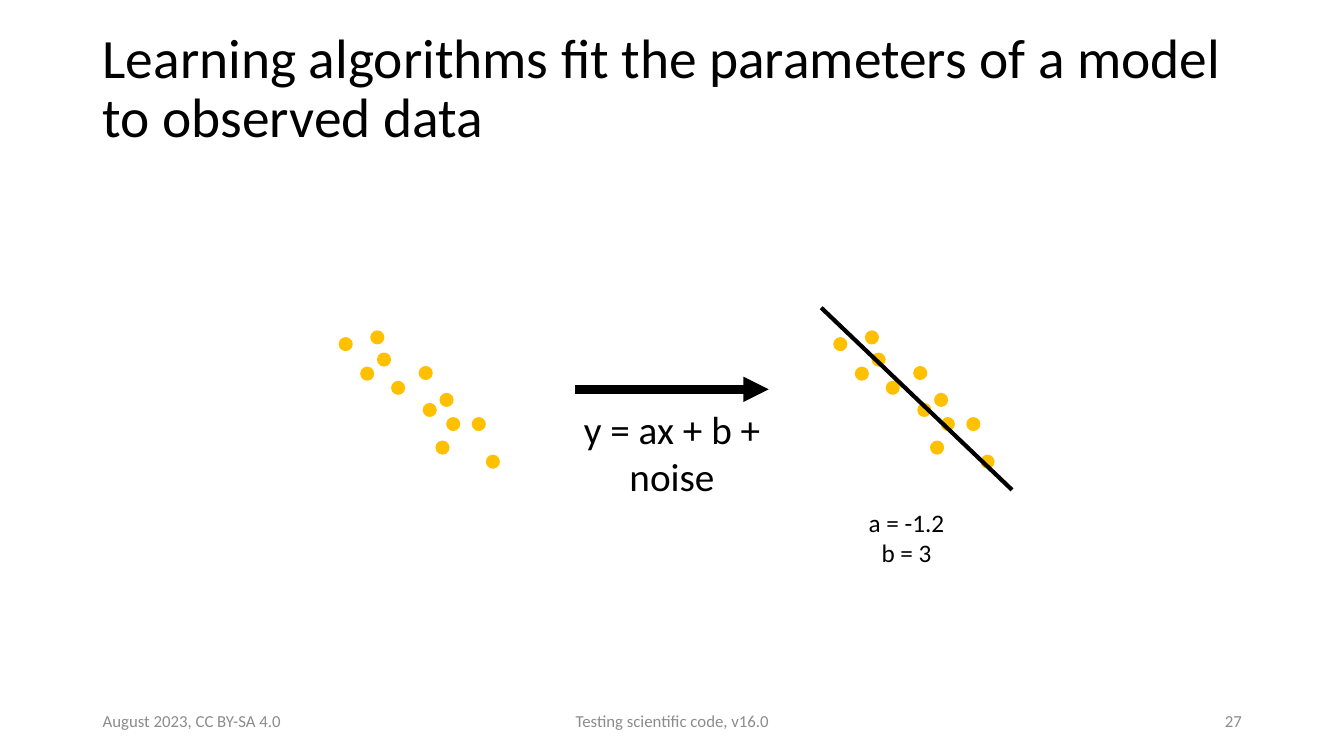
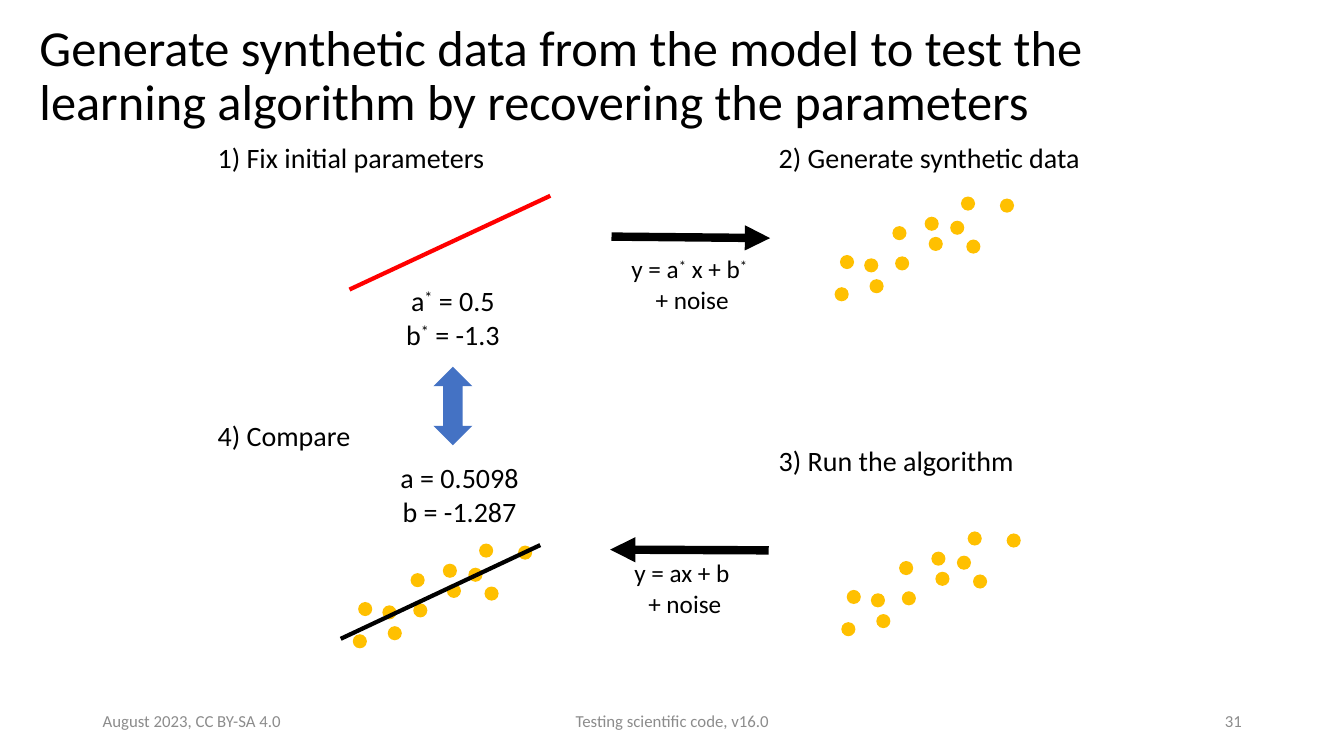
from lxml import etree
from pptx import Presentation
from pptx.dml.color import RGBColor
from pptx.enum.shapes import MSO_CONNECTOR, MSO_SHAPE
from pptx.enum.text import MSO_ANCHOR, PP_ALIGN
from pptx.oxml.ns import qn
from pptx.util import Inches, Pt

LEFT, CENTER, RIGHT = PP_ALIGN.LEFT, PP_ALIGN.CENTER, PP_ALIGN.RIGHT
TOP, MIDDLE = MSO_ANCHOR.TOP, MSO_ANCHOR.MIDDLE
STRAIGHT = MSO_CONNECTOR.STRAIGHT
DOT, DOUBLE_ARROW = MSO_SHAPE.OVAL, MSO_SHAPE.UP_DOWN_ARROW

WIDTH, HEIGHT = Inches(13.33), Inches(7.5)
FONT = "Calibri"
BLACK, GRAY, GOLD, RED, BLUE = "000000", "8C8C8C", "FFC000", "FF0000", "4472C4"
DOT_SIZE = 1.05

FALLING = [(0, 0.5), (2.35, 0), (2.85, 1.65), (1.6, 2.7), (3.9, 3.75), (5.95, 2.65),
           (6.25, 5.4), (7.5, 4.65), (8, 6.45), (9.9, 6.45), (7.2, 8.2), (10.95, 9.25)]
RISING = [(0, 6.75), (0.4, 4.35), (2.2, 4.6), (2.6, 6.15), (4.5, 4.45), (4.3, 2.2),
          (7, 3), (6.7, 1.5), (8.6, 1.8), (9.4, 0), (9.8, 3.2), (12.3, 0.15)]


def across(percent):
    return round(WIDTH * percent / 100)


def down(percent):
    return round(HEIGHT * percent / 100)


def color(hex_value):
    return RGBColor.from_string(hex_value)


def paint(shape, hex_value):
    shape.shadow.inherit = False
    shape.fill.solid()
    shape.fill.fore_color.rgb = color(hex_value)
    shape.line.fill.background()


def add_starred(paragraph, text):
    for star_count, part in enumerate(text.split("*")):
        if star_count:
            star = paragraph.add_run()
            star.text = "*"
            star.font._element.set("baseline", "30000")
        for line_count, line in enumerate(part.split("\n")):
            if line_count:
                paragraph.add_line_break()
            if line:
                paragraph.add_run().text = line


def add_text(slide, area, paragraphs, size, align=CENTER, anchor=TOP, ink=BLACK, spacing=None):
    x, y, w, h = area
    frame = slide.shapes.add_textbox(across(x), down(y), across(w), down(h)).text_frame
    frame.word_wrap = True
    frame.vertical_anchor = anchor
    for index, text in enumerate(paragraphs):
        paragraph = frame.add_paragraph() if index else frame.paragraphs[0]
        add_starred(paragraph, text)
        paragraph.alignment = align
        paragraph.line_spacing = spacing
        paragraph.font.name = FONT
        paragraph.font.size = Pt(size)
        paragraph.font.color.rgb = color(ink)


def add_line(slide, start, end, ink=BLACK, weight=3, arrow=False):
    line = slide.shapes.add_connector(
        STRAIGHT, across(start[0]), down(start[1]), across(end[0]), down(end[1]))
    line.line.color.rgb = color(ink)
    line.line.width = Pt(weight)
    if arrow:
        etree.SubElement(line.line._get_or_add_ln(), qn("a:tailEnd"), type="triangle")
    etree.SubElement(line._element.spPr, qn("a:effectLst"))


def add_arrow(slide, start, end):
    add_line(slide, start, end, weight=6, arrow=True)


def add_cloud(slide, x, y, points):
    cloud = slide.shapes.add_group_shape()
    size = across(DOT_SIZE)
    for dx, dy in points:
        dot = cloud.shapes.add_shape(DOT, across(x + dx), down(y) + across(dy), size, size)
        paint(dot, GOLD)


def add_step(slide, x, y, label):
    add_text(slide, (x, y, 25.8, 5.9), [label], 20, LEFT)


def add_page(deck, title, title_area, title_size, number):
    slide = deck.slides.add_slide(deck.slide_layouts[6])
    add_text(slide, title_area, [title], title_size, LEFT, MIDDLE, spacing=0.9)
    footers = [(6.9, 22.5, "August 2023, CC BY-SA 4.0", LEFT),
               (33.15, 33.75, "Testing scientific code, v16.0", CENTER),
               (70.65, 22.5, str(number), RIGHT)]
    for x, width, text, align in footers:
        add_text(slide, (x, 92.7, width, 5.3), [text], 12, align, MIDDLE, GRAY)
    return slide


def add_fitting_page(deck):
    slide = add_page(deck, "Learning algorithms fit the parameters of a model to observed data",
                     (6.9, 5.3, 86.25, 13.2), 39.6, 27)
    for x in (25.2, 62):
        add_cloud(slide, x, 43.7, FALLING)
    add_line(slide, (61.1, 40.7), (75.3, 64.8))
    add_arrow(slide, (42.8, 51.5), (57.2, 51.5))
    add_text(slide, (42.3, 52.9, 15.4, 13.9), ["y = ax + b + noise"], 28)
    add_text(slide, (61.05, 66.4, 12.8, 12.1), ["a = -1.2", "b = 3"], 18)


def add_recovery_page(deck):
    slide = add_page(deck, "Generate synthetic data from the model to test the learning "
                     "algorithm by recovering the parameters", (2.2, 3.6, 91, 13.2), 36, 31)
    add_step(slide, 15.45, 17.9, "1) Fix initial parameters")
    add_line(slide, (26, 38.3), (40.95, 25.9), RED)
    add_text(slide, (27.3, 36.9, 12.8, 10.3), ["a* = 0.5", "b* = -1.3"], 20)
    add_arrow(slide, (45.5, 31.3), (57.3, 31.5))
    add_text(slide, (43, 32.9, 17, 12.1), ["y = a* x + b* \n+ noise"], 18)

    add_step(slide, 57.2, 17.9, "2) Generate synthetic data")
    add_cloud(slide, 62.1, 26, RISING)

    add_step(slide, 57.2, 58, "3) Run the algorithm")
    add_cloud(slide, 62.6, 70.3, RISING)
    add_arrow(slide, (57.2, 72.8), (45.4, 72.7))
    add_text(slide, (42.45, 73.1, 17, 12.1), ["y = ax + b \n+ noise"], 18)

    add_step(slide, 15.45, 54.7, "4) Compare")
    comparison = slide.shapes.add_shape(
        DOUBLE_ARROW, across(32.25), down(48.5), across(2.9), down(10.4))
    paint(comparison, BLUE)
    add_text(slide, (27.2, 60.3, 14, 10.3), ["a = 0.5098", "b = -1.287"], 20)
    add_cloud(slide, 26.25, 71.9, RISING)
    add_line(slide, (25.35, 84.5), (40.2, 72.1))


def main():
    deck = Presentation()
    deck.slide_width, deck.slide_height = WIDTH, HEIGHT
    add_fitting_page(deck)
    add_recovery_page(deck)
    deck.save("out.pptx")


if __name__ == "__main__":
    main()
